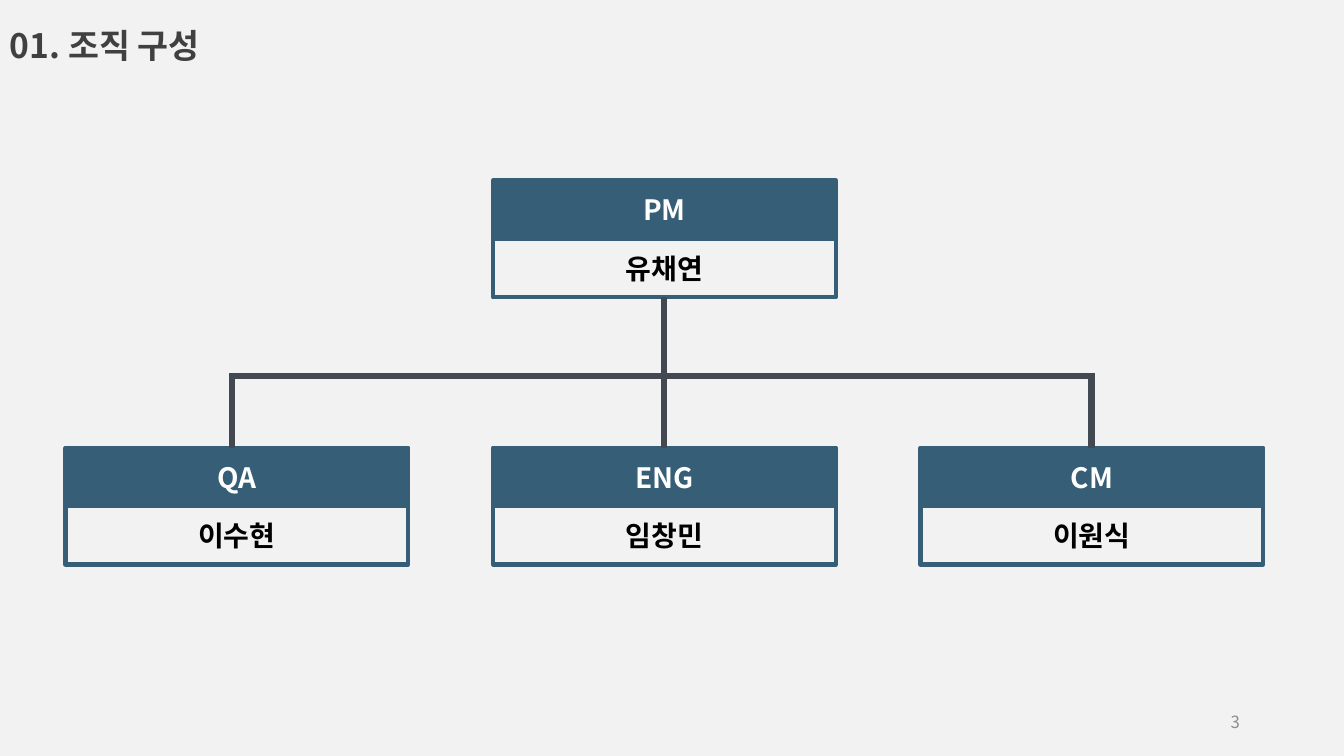
import pptx
import pptx.dml.color
import pptx.enum.shapes
import pptx.enum.text
import pptx.oxml.ns
import pptx.util
from lxml import etree


class OrgChart:
    """Draws an organisation chart on a grid of card columns and half-card rows."""

    COLORS = {"paper": "F2F2F2", "blue": "365E77", "branch": "424953", "title": "404040",
              "white": "FFFFFF", "black": "000000", "number": "8C8C8C"}
    FONT = "Noto Sans CJK KR"
    LEFT, TOP = 0.65, 1.79
    COLUMN, ROW = 4.24, 0.58
    CARD_WIDTH, CARD_ROW = 3.4, 0.58

    def __init__(self, deck):
        self.slide = deck.slides.add_slide(deck.slide_layouts[6])
        self.width, self.height = deck.slide_width, deck.slide_height
        self.paint(self.slide.background.fill, "paper")

    def color(self, name):
        return pptx.dml.color.RGBColor.from_string(self.COLORS[name])

    def paint(self, fill, name):
        fill.solid()
        fill.fore_color.rgb = self.color(name)

    def point(self, column, row):
        return (pptx.util.Inches(self.LEFT + column * self.COLUMN),
                pptx.util.Inches(self.TOP + row * self.ROW))

    def add_words(self, frame, words, size, color, align, bold=True, spacing=None):
        frame.word_wrap = True
        paragraph = frame.paragraphs[0]
        paragraph.alignment = align
        paragraph.line_spacing = spacing
        run = paragraph.add_run()
        run.text = words
        run.font.size = pptx.util.Pt(size)
        run.font.bold = bold
        run.font.name = self.FONT
        run.font.color.rgb = self.color(color)
        east_asian = etree.SubElement(run.font._element, pptx.oxml.ns.qn("a:ea"))
        east_asian.set("typeface", self.FONT)

    def label(self, shares, words, size, color, align, anchor, **style):
        left, top, width, height = shares
        box = self.slide.shapes.add_textbox(
            int(left * self.width), int(top * self.height),
            int(width * self.width), int(height * self.height))
        box.text_frame.vertical_anchor = anchor
        self.add_words(box.text_frame, words, size, color, align, **style)

    def card(self, column, row, role, member):
        card = self.slide.shapes.add_group_shape()
        halves = ((role, "blue", "white"), (member, "paper", "black"))
        for step, (words, fill, ink) in enumerate(halves):
            half = card.shapes.add_shape(
                pptx.enum.shapes.MSO_SHAPE.RECTANGLE, *self.point(column, row + step),
                pptx.util.Inches(self.CARD_WIDTH), pptx.util.Inches(self.CARD_ROW))
            half.shadow.inherit = False
            self.paint(half.fill, fill)
            half.line.color.rgb = self.color("blue")
            half.line.width = pptx.util.Pt(3)
            half.text_frame.vertical_anchor = pptx.enum.text.MSO_ANCHOR.MIDDLE
            self.add_words(half.text_frame, words, 20, ink, pptx.enum.text.PP_ALIGN.CENTER)

    def branch(self, start, end):
        branch = self.slide.shapes.add_connector(
            pptx.enum.shapes.MSO_CONNECTOR.STRAIGHT, *self.point(*start), *self.point(*end))
        branch.line.color.rgb = self.color("branch")
        branch.line.width = pptx.util.Pt(4.5)
        etree.SubElement(branch._element.spPr, pptx.oxml.ns.qn("a:effectLst"))


def main():
    deck = pptx.Presentation()
    deck.slide_width = pptx.util.Inches(13.33)
    deck.slide_height = pptx.util.Inches(7.5)
    chart = OrgChart(deck)
    align, anchor = pptx.enum.text.PP_ALIGN, pptx.enum.text.MSO_ANCHOR

    chart.label((0, 0, 0.5, 0.08), "01. 조직 구성", 24, "title",
                align.LEFT, anchor.TOP, spacing=1.5)

    team_row, fork_row, bar_row = 4.57, 3.29, 3.34
    qa_branch, pm_branch, cm_branch = 0.39, 1.4, 2.4
    chart.card(1, 0, "PM", "유채연")
    team = (("QA", "이수현"), ("ENG", "임창민"), ("CM", "이원식"))
    for column, (role, member) in enumerate(team):
        chart.card(column, team_row, role, member)

    for column, row in ((pm_branch, 2), (qa_branch, fork_row), (cm_branch, fork_row)):
        chart.branch((column, row), (column, team_row))
    chart.branch((cm_branch, bar_row), (qa_branch, bar_row))

    chart.label((0.71, 0.93, 0.22, 0.05), "3", 12, "number",
                align.RIGHT, anchor.MIDDLE, bold=False)
    deck.save("out.pptx")


if __name__ == "__main__":
    main()
